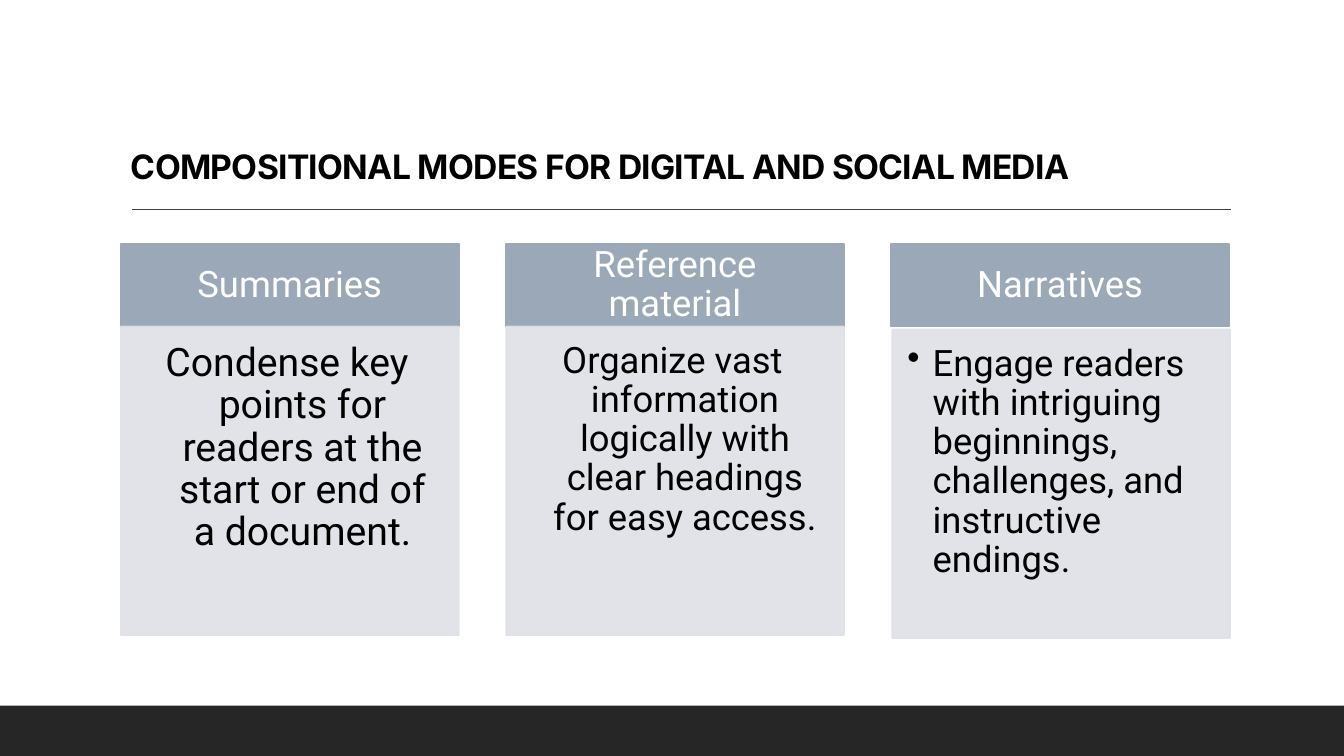
from dataclasses import dataclass

from lxml import etree
from pptx import Presentation
from pptx.dml.color import RGBColor
from pptx.enum.shapes import MSO_CONNECTOR, MSO_SHAPE
from pptx.enum.text import MSO_ANCHOR, PP_ALIGN
from pptx.oxml.ns import qn
from pptx.shapes.autoshape import Shape
from pptx.slide import Slide
from pptx.util import Inches, Pt

RECTANGLE = MSO_SHAPE.RECTANGLE
STRAIGHT = MSO_CONNECTOR.STRAIGHT
TOP, MIDDLE, BOTTOM = MSO_ANCHOR.TOP, MSO_ANCHOR.MIDDLE, MSO_ANCHOR.BOTTOM
LEFT, CENTER = PP_ALIGN.LEFT, PP_ALIGN.CENTER

COLORS = {
    "footer": "262626",
    "rule": "404040",
    "header": "9BA8B7",
    "body": "DEE1E6",
    "dark_text": "000000",
    "light_text": "FFFFFF",
}
BODY_OPACITY = 90

CARD_LEFT, CARD_TOP, CARD_PITCH = 1.2, 2.42, 3.82
CARD_WIDTH, HEADER_HEIGHT, BODY_HEIGHT = 3.35, 0.82, 3.06

Insets = tuple[float, float, float, float]
HEADER_INSETS: Insets = (0.2, 0.12, 0.2, 0.12)
BODY_INSETS: Insets = (0.15, 0.15, 0.2, 0.23)


@dataclass(frozen=True)
class Card:
    heading: str
    body: str
    size: float = 26
    indent: float = 0.25
    insets: Insets = BODY_INSETS
    align: PP_ALIGN = CENTER
    bullet: str = ""
    body_shift: tuple[float, float] = (0, 0)


CARDS = [
    Card("Summaries",
         "Condense key points for readers at the start or end of a document.",
         size=28, indent=0.31, insets=(0.16, 0.16, 0.22, 0.24)),
    Card("Reference material",
         "Organize vast information logically with clear headings for easy access."),
    Card("Narratives",
         "Engage readers with intriguing beginnings, challenges, and instructive endings.",
         align=LEFT, bullet="•", body_shift=(0.01, 0.03)),
]


def write_text(shape: Shape, text: str, *, size: float, color: str,
               font: str = "Roboto", bold: bool = False, spacing: float = 0,
               align: PP_ALIGN = LEFT, anchor: MSO_ANCHOR = TOP,
               insets: Insets = (0.1, 0.05, 0.1, 0.05),
               indent: float = 0, bullet: str = "") -> None:
    """Write one paragraph; indent is hanging and spacing is in points."""
    frame = shape.text_frame
    frame.word_wrap = True
    frame.vertical_anchor = anchor
    (frame.margin_left, frame.margin_top,
     frame.margin_right, frame.margin_bottom) = map(Inches, insets)
    paragraph = frame.paragraphs[0]
    paragraph.alignment = align
    paragraph.line_spacing = 0.9
    if indent:
        paragraph.level = 1
        properties = paragraph._p.get_or_add_pPr()
        properties.set("marL", str(Inches(indent)))
        properties.set("indent", str(-Inches(indent)))
        if bullet:
            etree.SubElement(properties, qn("a:buChar"), char=bullet)
        else:
            etree.SubElement(properties, qn("a:buNone"))
    run = paragraph.add_run()
    run.text = text
    run.font.name = font
    run.font.size = Pt(size)
    run.font.bold = bold
    run.font.color.rgb = RGBColor.from_string(COLORS[color])
    if spacing:
        run._r.get_or_add_rPr().set("spc", str(round(spacing * 100)))


def add_box(slide: Slide, left: float, top: float, width: float, height: float,
            color: str, *, outlined: bool = True, opacity: int = 100) -> Shape:
    shape = slide.shapes.add_shape(
        RECTANGLE, Inches(left), Inches(top), Inches(width), Inches(height))
    shape.shadow.inherit = False
    shape.fill.solid()
    shape.fill.fore_color.rgb = RGBColor.from_string(COLORS[color])
    if outlined:
        shape.line.width = Pt(1.25)
        shape.line.color.rgb = RGBColor.from_string(COLORS[color])
    else:
        shape.line.fill.background()
    if opacity < 100:
        for color_element in shape._element.spPr.iter(qn("a:srgbClr")):
            etree.SubElement(color_element, qn("a:alpha"), val=str(opacity * 1000))
    return shape


def add_rule(slide: Slide, left: float, right: float, y: float) -> None:
    rule = slide.shapes.add_connector(
        STRAIGHT, Inches(left), Inches(y), Inches(right), Inches(y))
    rule.line.width = Pt(1)
    rule.line.color.rgb = RGBColor.from_string(COLORS["rule"])
    etree.SubElement(rule._element.spPr, qn("a:effectLst"))


def add_card(slide: Slide, card: Card, left: float) -> None:
    header = add_box(slide, left, CARD_TOP, CARD_WIDTH, HEADER_HEIGHT, "header")
    write_text(header, card.heading, size=26, color="light_text",
               align=CENTER, anchor=MIDDLE, insets=HEADER_INSETS)
    shift_x, shift_y = card.body_shift
    body = add_box(slide, left + shift_x, CARD_TOP + HEADER_HEIGHT + shift_y,
                   CARD_WIDTH, BODY_HEIGHT, "body", opacity=BODY_OPACITY)
    write_text(body, card.body, size=card.size, color="dark_text",
               align=card.align, insets=card.insets,
               indent=card.indent, bullet=card.bullet)


def main() -> None:
    presentation = Presentation()
    presentation.slide_width = Inches(13.33)
    presentation.slide_height = Inches(7.5)
    slide = presentation.slides.add_slide(presentation.slide_layouts[6])

    add_box(slide, 0, 7, 13.33, 0.5, "footer", outlined=False)
    add_rule(slide, 1.31, 12.21, 2.08)
    title = slide.shapes.add_textbox(Inches(1.2), Inches(0.31), Inches(11), Inches(1.59))
    write_text(title, "COMPOSITIONAL MODES FOR DIGITAL AND SOCIAL MEDIA",
               size=24, color="dark_text", font="Inter", bold=True,
               spacing=-0.5, anchor=BOTTOM)
    for column, card in enumerate(CARDS):
        add_card(slide, card, CARD_LEFT + column * CARD_PITCH)

    presentation.save("out.pptx")


if __name__ == "__main__":
    main()
